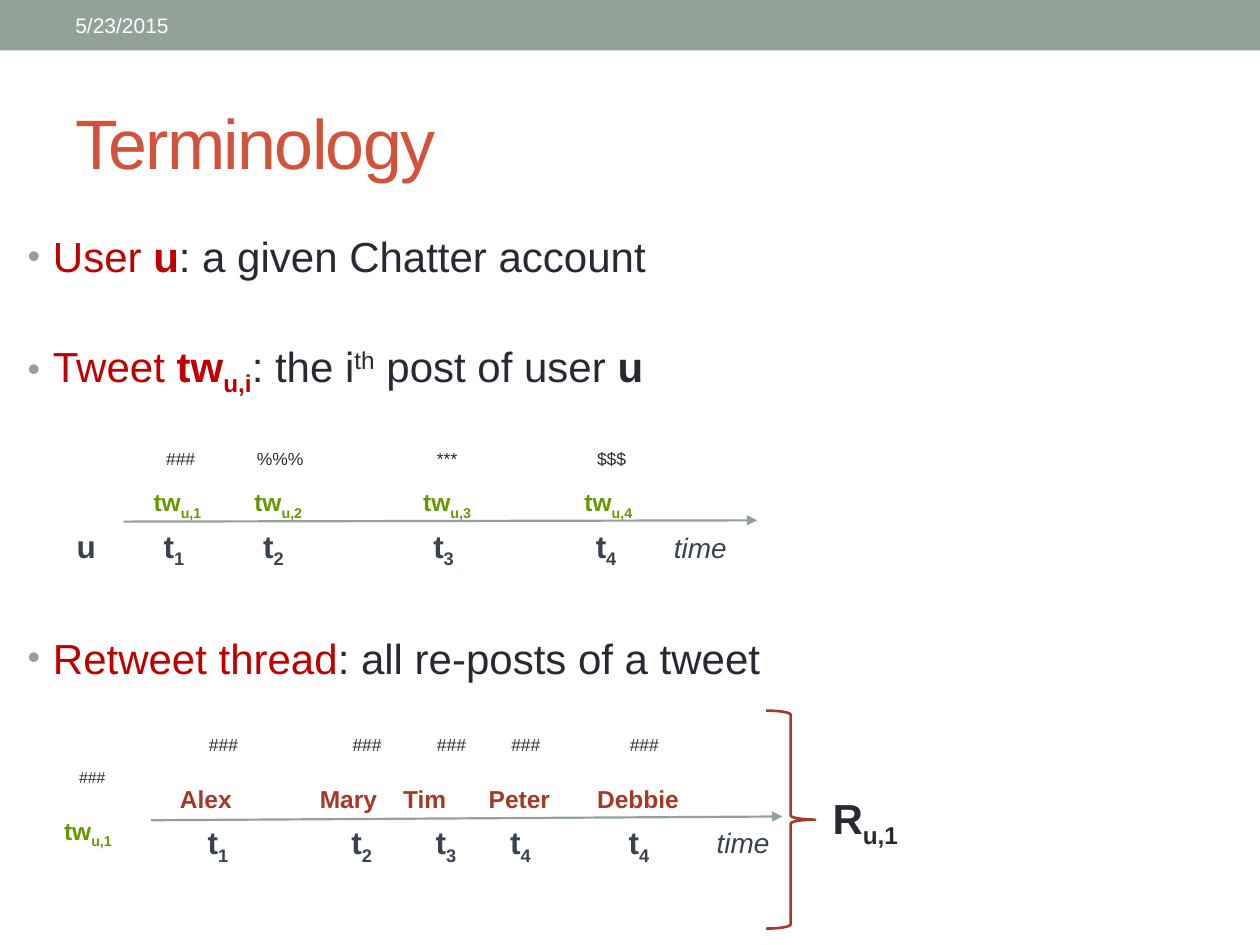
from lxml import etree
from pptx import Presentation
from pptx.dml.color import RGBColor
from pptx.enum import shapes, text
from pptx.oxml.ns import qn
from pptx.util import Inches, Pt

THEME = {
    "font": "Arial",
    "sage": "93A299", "ink": "292934", "slate": "394350", "white": "FFFFFF",
    "key": "C00000", "rust": "A53926", "title": "D2533C",
}
# Type styles: size, colour, bold, italic
STYLES = {
    "title": dict(size=40, color=THEME["title"]),
    "date": dict(size=12, color=THEME["white"]),
    "body": dict(size=24, color=THEME["ink"]),
    "strong": dict(size=24, color=THEME["ink"], bold=True),
    "key": dict(size=24, color=THEME["key"]),
    "key_strong": dict(size=24, color=THEME["key"], bold=True),
    "small_post": dict(size=9, color=THEME["ink"]),
    "post": dict(size=10, color=THEME["ink"]),
    "tick": dict(size=18, color=THEME["slate"], bold=True),
    "axis": dict(size=16, color=THEME["slate"], italic=True),
    "tweet": dict(size=14, color="669900", bold=True),
    "person": dict(size=14, color=THEME["rust"], bold=True),
}
HEIGHTS = {"small_post": 0.25, "post": 0.27, "tick": 0.4, "axis": 0.37,
           "tweet": 0.34, "person": 0.34, "strong": 0.5}

# Content: (space before in points, runs of text, style, baseline shift)
DEFINITIONS = [
    (0, [("User ", "key", 0), ("u", "key_strong", 0),
         (": a given Chatter account", "body", 0)]),
    (34, [("Tweet ", "key", 0), ("tw", "key_strong", 0), ("u,i", "key_strong", -25),
          (": the i", "body", 0), ("th", "body", 30), (" post of user ", "body", 0),
          ("u", "strong", 0)]),
    (134, [("Retweet thread", "key", 0), (": all re-posts of a tweet", "body", 0)]),
]
# Timelines: axis ends, then label rows of style, top, (text, left, width);
# an underscore starts a subscript
TIMELINES = [
    dict(axis=(0.98, 4.14, 6.01, 4.13), rows=[
        ("post", 3.51, [("###", 1.22, 0.43), ("%%%", 1.94, 0.58),
                        ("***", 3.37, 0.36), ("$$$", 4.64, 0.43)]),
        ("tweet", 3.82, [("tw_u,1", 1.12, 0.61), ("tw_u,2", 1.92, 0.61),
                         ("tw_u,3", 3.26, 0.61), ("tw_u,4", 4.54, 0.61)]),
        ("tick", 4.13, [("u", 0.51, 0.36), ("t_1", 1.2, 0.38), ("t_2", 1.99, 0.38),
                        ("t_3", 3.34, 0.38), ("t_4", 4.63, 0.38)]),
        ("axis", 4.16, [("time", 5.25, 0.63)]),
    ]),
    dict(axis=(1.2, 6.51, 6.21, 6.48), brace=(6.08, 5.64, 0.39, 1.73), rows=[
        ("small_post", 6.04, [("###", 0.53, 0.41)]),
        ("tweet", 6.43, [("tw_u,1", 0.41, 0.61)]),
        ("post", 5.78, [("###", left, 0.43) for left in (1.56, 2.7, 3.37, 3.96, 4.9)]),
        ("person", 6.17, [("Alex", 1.33, 0.62), ("Mary", 2.44, 0.66), ("Tim", 3.1, 0.55),
                          ("Peter", 3.78, 0.69), ("Debbie", 4.64, 0.85)]),
        ("tick", 6.48, [("t_1", 1.55, 0.38), ("t_2", 2.69, 0.38), ("t_3", 3.36, 0.38),
                        ("t_4", 3.95, 0.38), ("t_4", 4.89, 0.38)]),
        ("axis", 6.5, [("time", 5.59, 0.63)]),
        ("strong", 6.24, [("R_u,1", 6.51, 0.77)]),
    ]),
]


def rgb(name):
    return RGBColor.from_string(name)


def inches(values):
    return [Inches(value) for value in values]


def add_run(paragraph, words, style, baseline=0):
    run = paragraph.add_run()
    run.text = words
    look = {"name": THEME["font"], "bold": False, "italic": False, **STYLES[style]}
    run.font.color.rgb = rgb(look.pop("color"))
    look["size"] = Pt(look["size"])
    for attribute, value in look.items():
        setattr(run.font, attribute, value)
    if baseline:
        run.font._element.set("baseline", str(baseline * 1000))
    return run


def place(shape, box):
    for side, value in zip(("left", "top", "width", "height"), inches(box)):
        setattr(shape, side, value)


def add_bullet(paragraph):
    properties = paragraph._p.get_or_add_pPr()
    properties.set("marL", str(Inches(0.2)))
    properties.set("indent", str(-Inches(0.2)))
    color = etree.SubElement(properties, qn("a:buClr"))
    etree.SubElement(color, qn("a:srgbClr"), val=THEME["sage"])
    etree.SubElement(properties, qn("a:buSzPct"), val="85000")
    etree.SubElement(properties, qn("a:buFont"), typeface=THEME["font"])
    etree.SubElement(properties, qn("a:buChar"), char="•")


def add_label(parent, words, style, box):
    label = parent.add_textbox(*inches(box))
    label.text_frame.word_wrap = False
    label.text_frame.auto_size = text.MSO_AUTO_SIZE.SHAPE_TO_FIT_TEXT
    stem, _, subscript = words.partition("_")
    paragraph = label.text_frame.paragraphs[0]
    add_run(paragraph, stem, style)
    if subscript:
        add_run(paragraph, subscript, style, -25)


def add_axis(parent, ends):
    axis = parent.add_connector(shapes.MSO_CONNECTOR.STRAIGHT, *inches(ends))
    axis.line.color.rgb = rgb(THEME["sage"])
    axis.line.width = Pt(1.25)
    etree.SubElement(axis.line._get_or_add_ln(), qn("a:tailEnd"), type="triangle")
    etree.SubElement(axis._element.spPr, qn("a:effectLst"))


def add_brace(parent, box):
    brace = parent.add_shape(shapes.MSO_SHAPE.RIGHT_BRACE, *inches(box))
    brace.shadow.inherit = False
    brace.fill.background()
    brace.line.color.rgb = rgb(THEME["rust"])
    brace.line.width = Pt(1.5)


def main():
    deck = Presentation()
    deck.slide_width, deck.slide_height = inches((10, 7.5))
    slide = deck.slides.add_slide(deck.slide_layouts[1])

    # Header band and date
    band = slide.shapes.add_shape(shapes.MSO_SHAPE.RECTANGLE, *inches((0, 0, 10, 0.4)))
    band.shadow.inherit = False
    band.fill.solid()
    band.fill.fore_color.rgb = rgb(THEME["sage"])
    band.line.fill.background()
    date = slide.shapes.add_textbox(*inches((0.5, 0.02, 3.17, 0.36))).text_frame
    date.word_wrap = True
    date.vertical_anchor = text.MSO_ANCHOR.MIDDLE
    add_run(date.paragraphs[0], "5/23/2015", "date")

    # Title
    title = slide.shapes.title
    place(title, (0.5, 0.58, 9, 1.08))
    title.text_frame.vertical_anchor = text.MSO_ANCHOR.MIDDLE
    heading = title.text_frame.paragraphs[0]
    heading.alignment = text.PP_ALIGN.LEFT
    add_run(heading, "Terminology", "title").font._element.set("spc", "-100")

    # Definitions
    body = slide.placeholders[1]
    place(body, (0.12, 1.78, 9, 5.3))
    frame = body.text_frame
    frame.auto_size = text.MSO_AUTO_SIZE.NONE
    for index, (space, runs) in enumerate(DEFINITIONS):
        definition = frame.add_paragraph() if index else frame.paragraphs[0]
        add_bullet(definition)
        definition.space_before = Pt(space)
        for run in runs:
            add_run(definition, *run)

    # Timelines, one group each
    for timeline in TIMELINES:
        group = slide.shapes.add_group_shape().shapes
        add_axis(group, timeline["axis"])
        if "brace" in timeline:
            add_brace(group, timeline["brace"])
        for style, top, labels in timeline["rows"]:
            for words, left, width in labels:
                add_label(group, words, style, (left, top, width, HEIGHTS[style]))

    deck.save("out.pptx")


if __name__ == "__main__":
    main()
